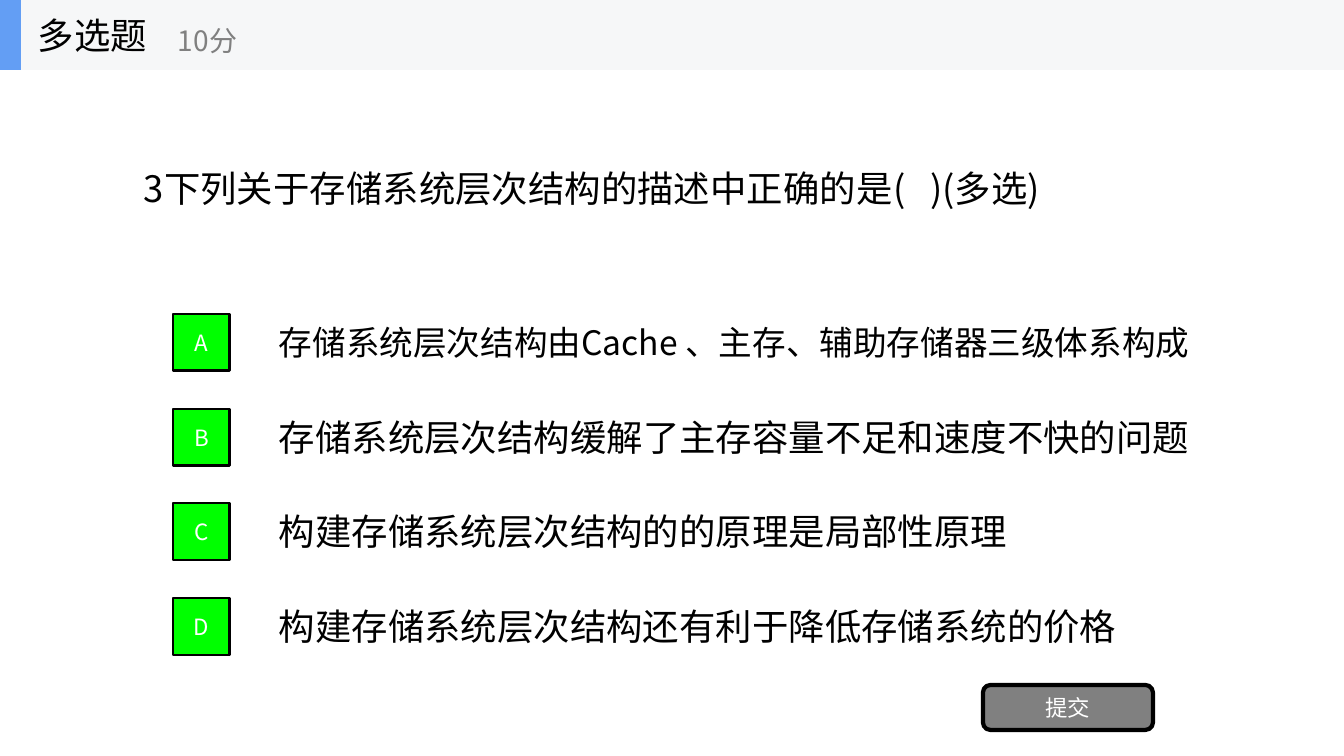
from lxml.etree import SubElement
from pptx import Presentation
from pptx.dml.color import RGBColor
from pptx.enum.shapes import MSO_SHAPE as Shape
from pptx.enum.text import MSO_ANCHOR as Anchor, MSO_AUTO_SIZE as AutoSize, PP_ALIGN as Align
from pptx.oxml.ns import qn
from pptx.util import Pt

WIDTH, HEIGHT = 1344, 756
EMU_PER_PX = 12192000 / WIDTH
FONT = "Noto Sans CJK SC"
BLACK, WHITE, GRAY = "000000", "FFFFFF", "808080"
GREEN, BLUE, PALE = "00FF00", "639EF4", "F6F7F8"

# letter, wording, text size, text width
OPTIONS = [
    ("A", "存储系统层次结构由Cache 、主存、辅助存储器三级体系构成", 24, 937),
    ("B", "存储系统层次结构缓解了主存容量不足和速度不快的问题", 26, 940),
    ("C", "构建存储系统层次结构的的原理是局部性原理", 26, 759),
    ("D", "构建存储系统层次结构还有利于降低存储系统的价格", 26, 868),
]


def px(*lengths):
    return [round(length * EMU_PER_PX) for length in lengths]


def color(hex_string):
    return RGBColor.from_string(hex_string)


def write(shape, text, size, text_color, align=None, **frame_format):
    frame = shape.text_frame
    settings = {"word_wrap": True, "vertical_anchor": Anchor.MIDDLE, **frame_format}
    for name, value in settings.items():
        setattr(frame, name, value)
    paragraph = frame.paragraphs[0]
    paragraph.alignment = align
    run = paragraph.add_run()
    run.text = text
    for name, value in {"size": Pt(size), "name": FONT}.items():
        setattr(run.font, name, value)
    run.font.color.rgb = color(text_color)
    SubElement(run.font._element, qn("a:ea"), typeface=FONT)


def add_text(shapes, box, text, size, text_color=BLACK, **frame_format):
    write(shapes.add_textbox(*px(*box)), text, size, text_color, **frame_format)


def add_block(shapes, box, fill, kind=Shape.RECTANGLE, line_width=0, label=""):
    """Add a filled shape, outlined in black and labelled in white on demand."""
    shape = shapes.add_shape(kind, *px(*box))
    shape.shadow.inherit = False
    shape.fill.solid()
    shape.fill.fore_color.rgb = color(fill)
    if line_width:
        shape.line.color.rgb = color(BLACK)
        shape.line.width = Pt(line_width)
    else:
        shape.line.fill.background()
    if label:
        write(shape, label, 16, WHITE, Align.CENTER)


def add_header(slide, left, top, width, height):
    shapes = slide.shapes.add_group_shape().shapes
    add_block(shapes, (left, top, width, height), PALE)
    add_block(shapes, (left, top, 21, height), BLUE)
    add_text(shapes, (left + 28, top, 210, height), "多选题", 26, word_wrap=False)
    add_text(shapes, (left + 168, top + 12, 252, height - 13), "10分", 20, GRAY, word_wrap=False)


def add_options(slide, left, top, width, height):
    """Spread the options evenly from the top edge to the bottom edge of the box."""
    badge, text_offset = 57, 96
    pitch = (height - badge) / (len(OPTIONS) - 1)
    for index, (letter, wording, size, text_width) in enumerate(OPTIONS):
        row_top = round(top + index * pitch)
        text_height = 2 * size + 2
        text_top = row_top + (badge - text_height) // 2
        add_text(slide.shapes, (left + text_offset, text_top, min(text_width, width - text_offset), text_height),
                 wording, size, auto_size=AutoSize.SHAPE_TO_FIT_TEXT)
        add_block(slide.shapes, (left, row_top, badge, badge), GREEN, line_width=2, label=letter)


def add_question_slide(presentation):
    slide = presentation.slides.add_slide(presentation.slide_layouts[6])
    add_text(slide.shapes, (134, 161, 1039, 54), "3下列关于存储系统层次结构的描述中正确的是(   )(多选)", 26,
             auto_size=AutoSize.SHAPE_TO_FIT_TEXT)
    add_options(slide, 173, 314, 1036, 341)
    add_block(slide.shapes, (983, 685, 170, 45), GRAY, Shape.ROUNDED_RECTANGLE, 3, "提交")
    add_header(slide, 0, 0, WIDTH, 70)


def main():
    presentation = Presentation()
    presentation.slide_width, presentation.slide_height = px(WIDTH, HEIGHT)
    add_question_slide(presentation)
    presentation.save("out.pptx")


if __name__ == "__main__":
    main()
